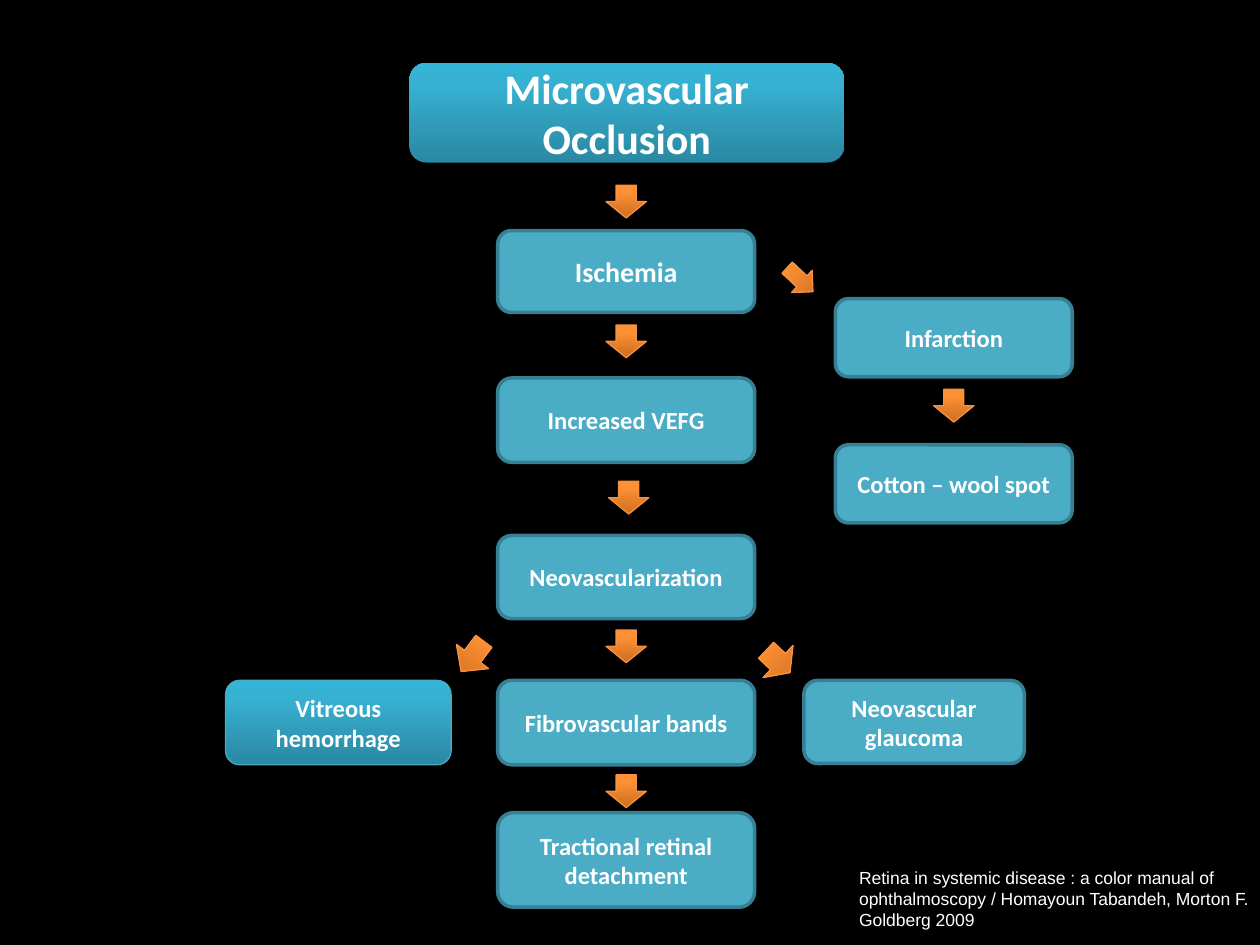
from copy import deepcopy

from pptx import Presentation
from pptx.dml.color import RGBColor
from pptx.enum.shapes import MSO_SHAPE
from pptx.enum.text import MSO_ANCHOR, PP_ALIGN
from pptx.util import Inches, Pt

ROUND = MSO_SHAPE.ROUNDED_RECTANGLE
DOWN = MSO_SHAPE.DOWN_ARROW
MIDDLE = MSO_ANCHOR.MIDDLE
CENTER = PP_ALIGN.CENTER

BLACK = RGBColor(0x00, 0x00, 0x00)
WHITE = RGBColor(0xFF, 0xFF, 0xFF)
TEAL = RGBColor(0x4B, 0xAC, 0xC6)
EDGE = RGBColor(0x37, 0x7F, 0x92)
RIM = RGBColor(0x46, 0xAA, 0xC5)
AMBER = RGBColor(0xF6, 0x92, 0x40)
BLUES = [RGBColor(0x2A, 0x88, 0xA2), RGBColor(0x37, 0xB1, 0xD2), RGBColor(0x34, 0xB4, 0xD6)]
FLAMES = [RGBColor(0xCC, 0x6E, 0x20), RGBColor(0xFF, 0x90, 0x34), RGBColor(0xFF, 0x91, 0x36)]
STOPS = [0, 0.8, 1]

# Main column: left edge, width and arrow position
COL, WIDE, MID = 3.95, 2.04, 4.81
SIDE, SPAN = 6.63, 1.88

# Label, left, top, width, height, text size
STEPS = [
    ("Ischemia", COL, 1.83, WIDE, 0.65, 16),
    ("Increased VEFG", COL, 3, WIDE, 0.67, 14),
    ("Neovascularization", COL, 4.25, WIDE, 0.66, 14),
    ("Fibrovascular bands", COL, 5.4, WIDE, 0.67, 14),
    ("Tractional retinal detachment", COL, 6.45, WIDE, 0.75, 14),
    ("Neovascular glaucoma", 6.38, 5.4, 1.75, 0.66, 14),
    ("Infarction", SIDE, 2.37, SPAN, 0.62, 14),
    ("Cotton – wool spot", SIDE, 3.53, SPAN, 0.62, 14),
]

# Left and top of the straight arrows
DROPS = [(MID, 1.47), (MID, 2.58), (4.83, 3.82), (MID, 5), (MID, 6.15), (7.41, 3.09)]

# Left, top, width, height and turn of the slanted arrows
SLANTS = [
    (6, 5.12, 0.35, 0.26, 313),
    (3.59, 5.06, 0.32, 0.3, 37),
    (6.23, 2.08, 0.24, 0.28, 313),
]

CITE = ("Retina in systemic disease : a color manual of ophthalmoscopy / "
        "Homayoun Tabandeh, Morton F. Goldberg 2009")


def set_font(font, color=WHITE, **style):
    for name, value in style.items():
        setattr(font, name, value)
    font.color.rgb = color


def paint(shape, fill, line=None, width=0.75):
    """Fill with one colour, or with a vertical blend for a list."""
    shape.shadow.inherit = False
    if isinstance(fill, list):
        shape.fill.gradient()
        shape.fill.gradient_angle = 90
        last = shape.fill._fill._gradFill.gsLst[-1]
        last.addnext(deepcopy(last))
        for stop, color, place in zip(shape.fill.gradient_stops, fill, STOPS):
            stop.color.rgb = color
            stop.position = place
    else:
        shape.fill.solid()
        shape.fill.fore_color.rgb = fill
    if line is None:
        shape.line.fill.background()
    else:
        shape.line.color.rgb = line
        shape.line.width = Pt(width)


def add_step(slide, label, x, y, w, h, size, fill=TEAL, line=EDGE, width=2):
    box = slide.shapes.add_shape(ROUND, Inches(x), Inches(y), Inches(w), Inches(h))
    paint(box, fill, line, width)
    frame = box.text_frame
    frame.word_wrap = True
    frame.vertical_anchor = MIDDLE
    para = frame.paragraphs[0]
    para.text = label
    para.alignment = CENTER
    set_font(para.runs[0].font, name="Calibri", size=Pt(size), bold=True)


def add_arrow(slide, x, y, w=0.32, h=0.26, turn=0):
    arrow = slide.shapes.add_shape(DOWN, Inches(x), Inches(y), Inches(w), Inches(h))
    arrow.rotation = turn
    paint(arrow, FLAMES, AMBER)


def add_note(slide, text, x, y, w, h):
    box = slide.shapes.add_textbox(Inches(x), Inches(y), Inches(w), Inches(h))
    box.text_frame.word_wrap = True
    para = box.text_frame.paragraphs[0]
    para.text = text
    set_font(para.runs[0].font, name="Arial", size=Pt(10))


def main():
    deck = Presentation()
    deck.slide_width, deck.slide_height = Inches(10), Inches(7.5)
    slide = deck.slides.add_slide(deck.slide_layouts[6])
    back = slide.background.fill
    back.solid()
    back.fore_color.rgb = BLACK

    # Boxes
    add_step(slide, "Microvascular Occlusion", 3.25, 0.5, 3.45, 0.79, 24, BLUES, None)
    add_step(slide, "Vitreous hemorrhage", 1.79, 5.4, 1.79, 0.67, 14, BLUES, RIM, 0.75)
    for step in STEPS:
        add_step(slide, *step)

    # Arrows
    for spot in DROPS + SLANTS:
        add_arrow(slide, *spot)

    # Citation
    add_note(slide, CITE, 6.72, 6.83, 3.42, 0.77)
    deck.save("out.pptx")


if __name__ == "__main__":
    main()
